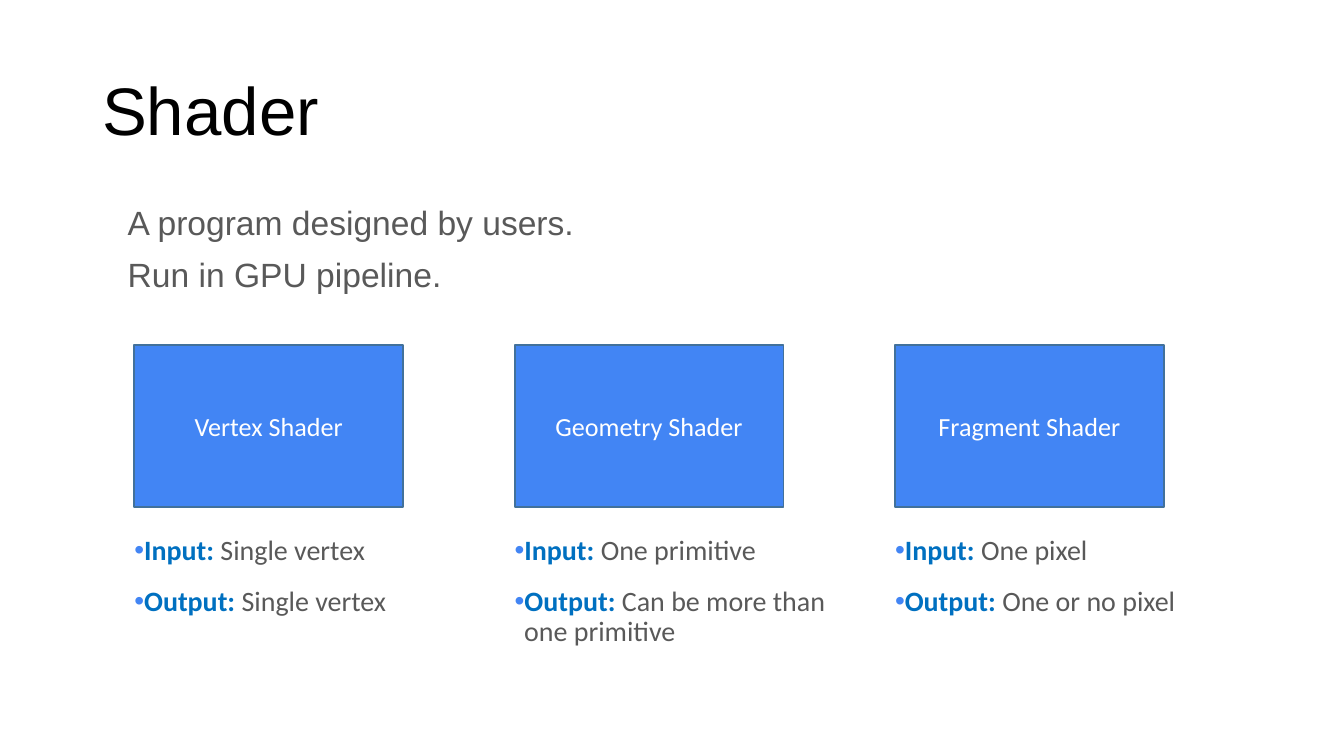
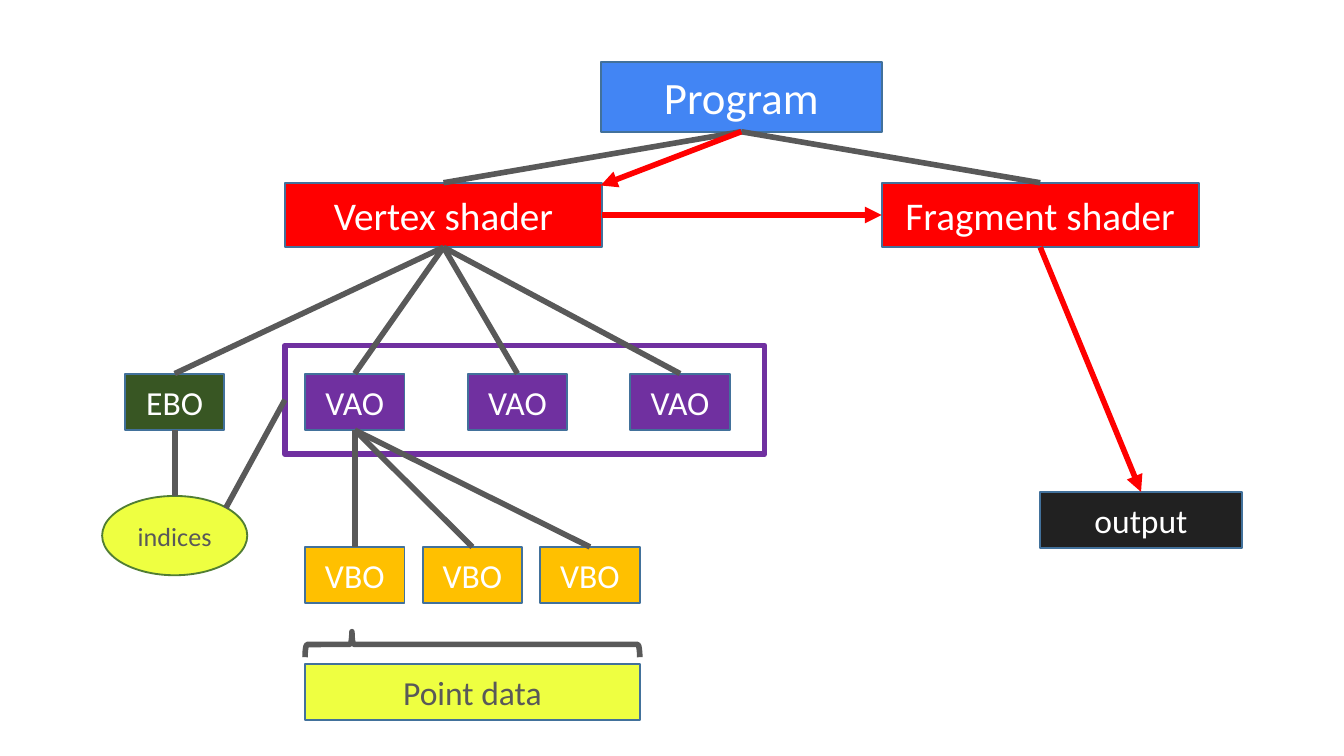
"""Build two slides about shaders and the data that feeds them."""
from lxml import etree
from pptx import Presentation
from pptx import util as u
from pptx.dml.color import RGBColor
from pptx.enum import shapes, text
from pptx.oxml import ns

BLUE = RGBColor(0x42, 0x85, 0xF4)
LABEL_BLUE = RGBColor(0x00, 0x70, 0xC0)
EDGE = RGBColor(0x42, 0x71, 0x9B)
GREEN_EDGE = RGBColor(0x51, 0x7E, 0x33)
GREEN = RGBColor(0x38, 0x56, 0x23)
RED = RGBColor(0xFF, 0x00, 0x00)
PURPLE = RGBColor(0x70, 0x30, 0xA0)
ORANGE = RGBColor(0xFF, 0xC0, 0x00)
YELLOW = RGBColor(0xEE, 0xFF, 0x41)
CHARCOAL = RGBColor(0x21, 0x21, 0x21)
GRAY = RGBColor(0x59, 0x59, 0x59)
BLACK = RGBColor(0, 0, 0)
WHITE = RGBColor(0xFF, 0xFF, 0xFF)

RECT = shapes.MSO_SHAPE.RECTANGLE
OVAL = shapes.MSO_SHAPE.OVAL
TOP, LEFT, BOTTOM, RIGHT = range(4)

TITLE = "Shader"
INTRO = ["A program designed by users.", "Run in GPU pipeline."]
SHADERS = [
    ("Vertex Shader", "Single vertex", "Single vertex", 0.71),
    ("Geometry Shader", "One primitive", "Can be more than one primitive", 0.95),
    ("Fragment Shader", "One pixel", "One or no pixel", 0.95),
]
SHADER_LEFT, SHADER_STEP = 1, 2.83

SMALL = (0.74, 0.42)
VAO_LEFT, VAO_STEP = 2.27, 1.21
POINT_DATA_PLACE = (VAO_LEFT, 4.94, 2.49, 0.42)
VBO_STEP = (POINT_DATA_PLACE[2] - SMALL[0]) / 2
NODES = {
    "program": ("Program", (4.47, 0.46, 2.09, 0.52), BLUE, 24),
    "vertex": ("Vertex shader", (2.12, 1.36, 2.36, 0.48), RED, 21),
    "fragment": ("Fragment shader", (6.56, 1.36, 2.36, 0.48), RED, 21),
    "ebo": ("EBO", (0.93, 2.78, *SMALL), GREEN, 18),
    **{f"vao{i}": ("VAO", (VAO_LEFT + i * VAO_STEP, 2.78, *SMALL), PURPLE, 18)
       for i in range(3)},
    **{f"vbo{i}": ("VBO", (VAO_LEFT + i * VBO_STEP, 4.07, *SMALL), ORANGE, 18)
       for i in range(3)},
    "output": ("output", (7.74, 3.66, 1.5, 0.42), CHARCOAL, 18),
}
INDICES_PLACE = (0.76, 3.69, 1.08, 0.59)
VAO_GROUP_PLACE = (2.12, 2.57, 3.57, 0.81)
BRACE_PLACE = (3.42, 3.55, 0.19, 2.49)

LINKS = [
    ("program", BOTTOM, "vertex", TOP),
    ("program", BOTTOM, "fragment", TOP),
    ("vertex", BOTTOM, "ebo", TOP),
    ("ebo", BOTTOM, "indices", TOP),
    ((1.68, 3.78), None, "group", LEFT),
    *[("vao0", BOTTOM, f"vbo{i}", TOP) for i in range(3)],
    *[("vertex", BOTTOM, f"vao{i}", TOP) for i in range(3)],
]
FLOWS = [
    ("vertex", RIGHT, "fragment", LEFT),
    ("fragment", BOTTOM, "output", TOP),
    ("program", BOTTOM, (4.47, 1.38), None),
]


def inches(values):
    return [u.Inches(value) for value in values]


def apply(target, values):
    for name, value in values.items():
        setattr(target, name, value)


def set_frame(frame, anchor, side=0.07):
    apply(frame, {
        "word_wrap": True, "auto_size": text.MSO_AUTO_SIZE.NONE,
        "vertical_anchor": anchor,
        "margin_left": u.Inches(side), "margin_right": u.Inches(side),
        "margin_top": u.Inches(0.04), "margin_bottom": u.Inches(0.04),
    })


def add_span(para, words, size, color, font="Calibri", bold=False):
    span = para.add_run()
    span.text = words
    apply(span.font, {"size": u.Pt(size), "name": font, "bold": bold})
    span.font.color.rgb = color


def add_shape(page, place, fill=None, edge=EDGE, width=1, kind=RECT):
    shape = page.shapes.add_shape(kind, *inches(place))
    shape.shadow.inherit = False
    if fill is None:
        shape.fill.background()
    else:
        shape.fill.solid()
        shape.fill.fore_color.rgb = fill
    shape.line.color.rgb = edge
    shape.line.width = u.Pt(width)
    return shape


def add_label_box(page, words, place, fill, size, color=WHITE, **look):
    box = add_shape(page, place, fill, **look)
    set_frame(box.text_frame, text.MSO_ANCHOR.MIDDLE)
    para = box.text_frame.paragraphs[0]
    para.alignment = text.PP_ALIGN.CENTER
    add_span(para, words, size, color)
    return box


def add_paragraphs(page, place, rows, gap, margin, side=0.07, bullet=None):
    """Add a text box whose rows are lists of span arguments."""
    frame = page.shapes.add_textbox(*inches(place)).text_frame
    set_frame(frame, text.MSO_ANCHOR.TOP, side)
    for number, row in enumerate(rows):
        para = frame.add_paragraph() if number else frame.paragraphs[0]
        para.line_spacing = 0.9
        para.space_before = u.Pt(gap if number else 0)
        for span in row:
            add_span(para, *span)
        props = para._p.get_or_add_pPr()
        props.set("marL", str(u.Inches(margin)))
        if bullet:
            props.set("indent", str(u.Inches(-0.1)))
            tint = etree.SubElement(props, ns.qn("a:buClr"))
            etree.SubElement(tint, ns.qn("a:srgbClr"), val=str(bullet))
            etree.SubElement(props, ns.qn("a:buFont"), typeface="Arial")
            etree.SubElement(props, ns.qn("a:buChar"), char="•")


def add_link(page, boxes, start, start_side, end, end_side, color, arrow=False):
    """Join two named boxes, or points given as coordinates."""
    begin = (0, 0) if start in boxes else start
    finish = (0, 0) if end in boxes else end
    link = page.shapes.add_connector(
        shapes.MSO_CONNECTOR.STRAIGHT, *inches((*begin, *finish)))
    if start in boxes:
        link.begin_connect(boxes[start], start_side)
    if end in boxes:
        link.end_connect(boxes[end], end_side)
    link.line.color.rgb = color
    link.line.width = u.Pt(3)
    if arrow:
        etree.SubElement(link.line._get_or_add_ln(), ns.qn("a:tailEnd"),
                         type="triangle")
    etree.SubElement(link._element.spPr, ns.qn("a:effectLst"))


def build_shader_page(deck):
    page = deck.slides.add_slide(deck.slide_layouts[5])
    title = page.shapes.title
    apply(title, dict(zip(("left", "top", "width", "height"),
                          inches((0.69, 0.3, 8.62, 1.09)))))
    set_frame(title.text_frame, text.MSO_ANCHOR.MIDDLE)
    para = title.text_frame.paragraphs[0]
    apply(para, {"alignment": text.PP_ALIGN.LEFT, "line_spacing": 0.9})
    add_span(para, TITLE, 36, BLACK, "Arial")

    add_paragraphs(page, (0.69, 1.5, 8.62, 3.57),
                   [[(line, 18, GRAY, "Arial")] for line in INTRO], 8, 0.19)
    for number, (name, source, result, height) in enumerate(SHADERS):
        left = SHADER_LEFT + number * SHADER_STEP
        add_label_box(page, name, (left, 2.57, 2, 1.2), BLUE, 14)
        rows = [[(label, 15, LABEL_BLUE, "Calibri", True), (words, 15, GRAY)]
                for label, words in (("Input: ", source), ("Output: ", result))]
        add_paragraphs(page, (left, 3.95, 2.41, height), rows, 11, 0.07,
                       side=0, bullet=BLUE)


def build_program_page(deck):
    page = deck.slides.add_slide(deck.slide_layouts[6])
    boxes = {key: add_label_box(page, *node) for key, node in NODES.items()}
    boxes["indices"] = add_label_box(page, "indices", INDICES_PLACE, YELLOW, 14,
                                     GRAY, edge=GREEN_EDGE, kind=OVAL)
    add_label_box(page, "Point data", POINT_DATA_PLACE, YELLOW, 18, GRAY)
    boxes["group"] = add_shape(page, VAO_GROUP_PLACE, edge=PURPLE, width=3)
    brace = add_shape(page, BRACE_PLACE, edge=GRAY, width=3,
                      kind=shapes.MSO_SHAPE.LEFT_BRACE)
    brace.rotation = 90
    brace.adjustments[0], brace.adjustments[1] = 0.08, 0.86
    for link in LINKS:
        add_link(page, boxes, *link, GRAY)
    for flow in FLOWS:
        add_link(page, boxes, *flow, RED, arrow=True)


def main():
    deck = Presentation()
    deck.slide_width = u.Inches(10)
    deck.slide_height = u.Inches(10 * 9 / 16)
    build_shader_page(deck)
    build_program_page(deck)
    deck.save("out.pptx")


if __name__ == "__main__":
    main()
